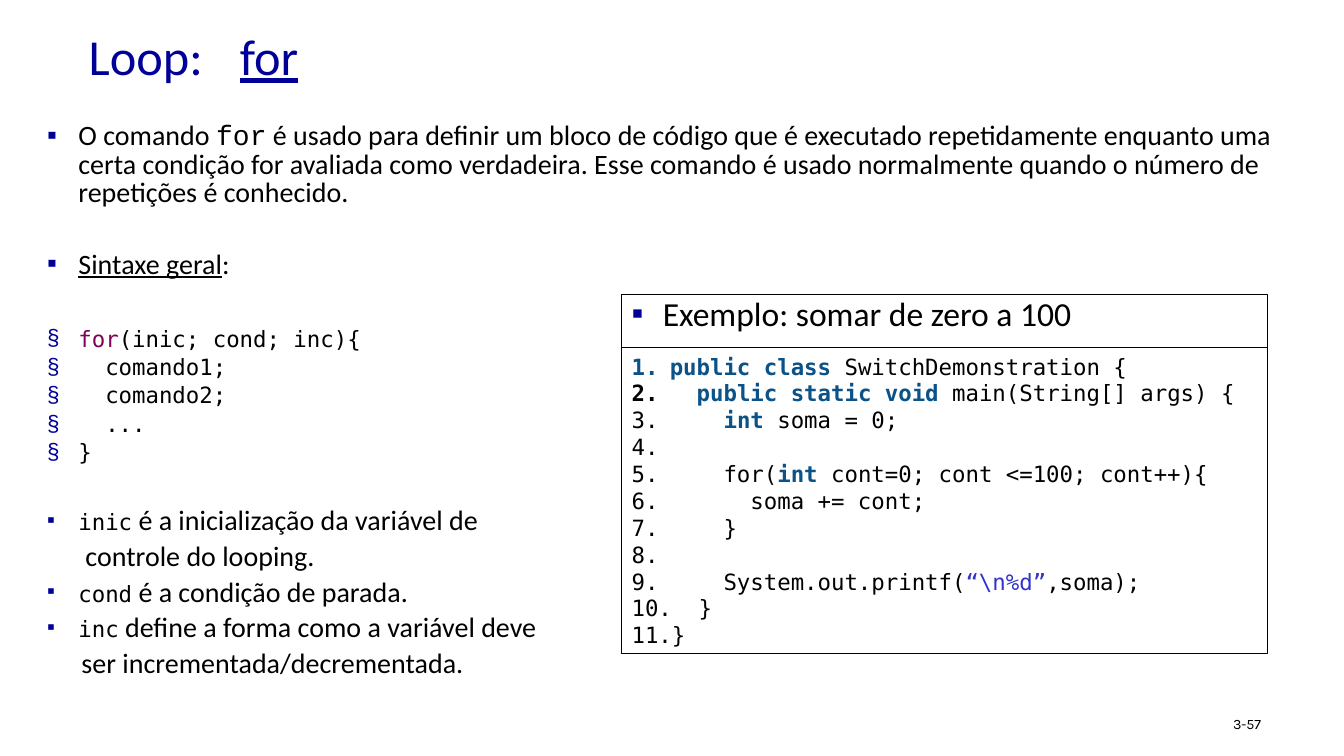
from dataclasses import dataclass

from lxml.etree import SubElement
from pptx import Presentation
from pptx.dml.color import RGBColor
from pptx.enum.shapes import MSO_SHAPE
from pptx.enum.text import MSO_ANCHOR, MSO_AUTO_SIZE, PP_ALIGN
from pptx.oxml.ns import qn
from pptx.util import Inches, Pt

NAVY, BLACK, BLUE, PLUM, VIOLET = "000099", "000000", "0A5287", "7F0055", "3333CC"
SANS, MONO = "Calibri", "DejaVu Sans Mono"


@dataclass
class Run:
    text: str
    hue: str | None = None
    face: str | None = None
    size: float | None = None
    bold: bool | None = None
    line: bool | None = None


@dataclass
class Para:
    runs: list[Run]
    face: str = SANS
    size: float = 20
    hue: str = BLACK
    mark: str = ""  # bullet sign, or "1." for numbering
    tint: str = NAVY
    left: float = 0.31
    hang: float = 0.31
    gap: float = 0
    lead: float = 0.85
    tab: float = 0


def paint(hue: str) -> RGBColor:
    return RGBColor.from_string(hue)


def style(font, face, size, hue, bold=None, line=None) -> None:
    if face:
        font.name = face
    if size:
        font.size = Pt(size)
    if hue:
        font.color.rgb = paint(hue)
    font.bold, font.underline = bold, line


def mark_up(props, para: Para) -> None:
    """Add indent, bullet and tab stop to a paragraph."""
    props.set("marL", str(Inches(para.left)))
    props.set("indent", str(-Inches(para.hang)))
    if para.mark:
        tint = SubElement(props, qn("a:buClr"))
        SubElement(tint, qn("a:srgbClr"), val=para.tint)
    if para.mark == "1.":
        SubElement(props, qn("a:buAutoNum"), type="arabicPeriod")
    elif para.mark:
        SubElement(props, qn("a:buFont"), typeface="Arial")
        SubElement(props, qn("a:buChar"), char=para.mark)
    else:
        SubElement(props, qn("a:buNone"))
    if para.tab:
        tabs = SubElement(props, qn("a:tabLst"))
        SubElement(tabs, qn("a:tab"), pos=str(Inches(para.tab)), algn="l")


def write(shape, paras: list[Para], anchor=MSO_ANCHOR.TOP) -> None:
    frame = shape.text_frame
    frame.word_wrap = True
    frame.vertical_anchor = anchor
    for index, para in enumerate(paras):
        item = frame.add_paragraph() if index else frame.paragraphs[0]
        mark_up(item._p.get_or_add_pPr(), para)
        item.alignment = PP_ALIGN.LEFT
        item.line_spacing = para.lead
        item.space_before = Pt(para.gap)
        style(item.font, para.face, para.size, para.hue)
        for run in para.runs:
            part = item.add_run()
            part.text = run.text
            style(part.font, run.face, run.size, run.hue, run.bold, run.line)


def place(box: tuple[float, float, float, float]) -> list[int]:
    return [Inches(side) for side in box]


def panel(slide, box: tuple[float, float, float, float], paras: list[Para]):
    shape = slide.shapes.add_shape(MSO_SHAPE.RECTANGLE, *place(box))
    shape.shadow.inherit = False
    shape.fill.background()
    shape.line.color.rgb = paint(BLACK)
    shape.line.width = Pt(0.75)
    write(shape, paras)
    return shape


def term(name: str, rest: str) -> Para:
    return Para([Run(name, face=MONO, size=16), Run(rest)], mark="▪", gap=5)


def key(text: str) -> Run:
    return Run(text, hue=BLUE, bold=True)


def syntax(runs: list[Run], gap: float = 4) -> Para:
    return Para(runs, MONO, 16, mark="§", gap=gap)


INTRO = [
    Run("O comando "),
    Run("for", face="Courier New"),
    Run(" é usado para definir um bloco de código que é executado repetidamente "
        "enquanto uma certa condição for avaliada como verdadeira. Esse comando é "
        "usado normalmente quando o número de repetições é conhecido."),
]
BODY = [
    Para(INTRO, mark="▪"),
    Para([Run("Sintaxe geral", line=True), Run(":")], mark="▪", gap=30.5),
    syntax([Run("for", hue=PLUM), Run("(inic; cond; inc){")], gap=35),
    *[syntax([Run(text)]) for text in ("  comando1;", "  comando2;", "  ...", "}")],
    term("inic", " é a inicialização da variável de"),
    Para([Run("controle do looping.")], left=0.38, hang=0, gap=5),
    term("cond", " é a condição de parada."),
    term("inc", " define a forma como a variável deve"),
    Para([Run("ser incrementada/decrementada.")], left=0.34, hang=0, gap=5),
]
BODY[7].gap = 30.5

CODE = [
    [key("public class"), Run(" SwitchDemonstration {")],
    [Run("  ", bold=True), key("public static void"), Run(" main(String[] args) {")],
    [Run("    "), key("int"), Run(" soma = 0;")],
    [Run("    ")],
    [Run("    for("), key("int"), Run(" cont=0; cont <=100; cont++){")],
    [Run("      soma += cont;")],
    [Run("    }")],
    [Run("    ")],
    [Run("    System.out.printf("), Run("“\\n%d”", hue=VIOLET), Run(",soma);")],
    [Run("  }")],
    [Run("}")],
]


def main() -> None:
    deck = Presentation()
    deck.slide_width, deck.slide_height = Inches(13.34), Inches(7.5)
    slide = deck.slides.add_slide(deck.slide_layouts[5])

    # Title
    title = slide.shapes.title
    title.left, title.top, title.width, title.height = place((0.78, 0.16, 11.33, 0.78))
    head = Para([Run("Loop:\t"), Run("for", line=True)], size=36, hue=NAVY,
                left=0, hang=0, lead=1, tab=1.36)
    write(title, [head], MSO_ANCHOR.MIDDLE)

    # Explanation and syntax
    write(slide.shapes.add_textbox(*place((0.37, 1.17, 12.75, 5.91))), BODY)

    # Example: heading and numbered code
    panel(slide, (6.17, 2.92, 6.41, 0.53),
          [Para([Run("Exemplo: somar de zero a 100")], size=24, mark="▪")])
    code = panel(slide, (6.17, 3.45, 6.41, 3.03), [
        Para(runs, MONO, 16, mark="1.", tint=BLACK if row else BLUE,
             left=0.38, hang=0.38, lead=1)
        for row, runs in enumerate(CODE)
    ])
    code.text_frame.auto_size = MSO_AUTO_SIZE.SHAPE_TO_FIT_TEXT

    # Page number
    page = Para([Run("3-57")], "Karla", 10.2, left=0, hang=0, lead=0.9)
    write(slide.shapes.add_textbox(*place((12.14, 7.07, 0.99, 0.3))), [page])

    deck.save("out.pptx")


if __name__ == "__main__":
    main()
